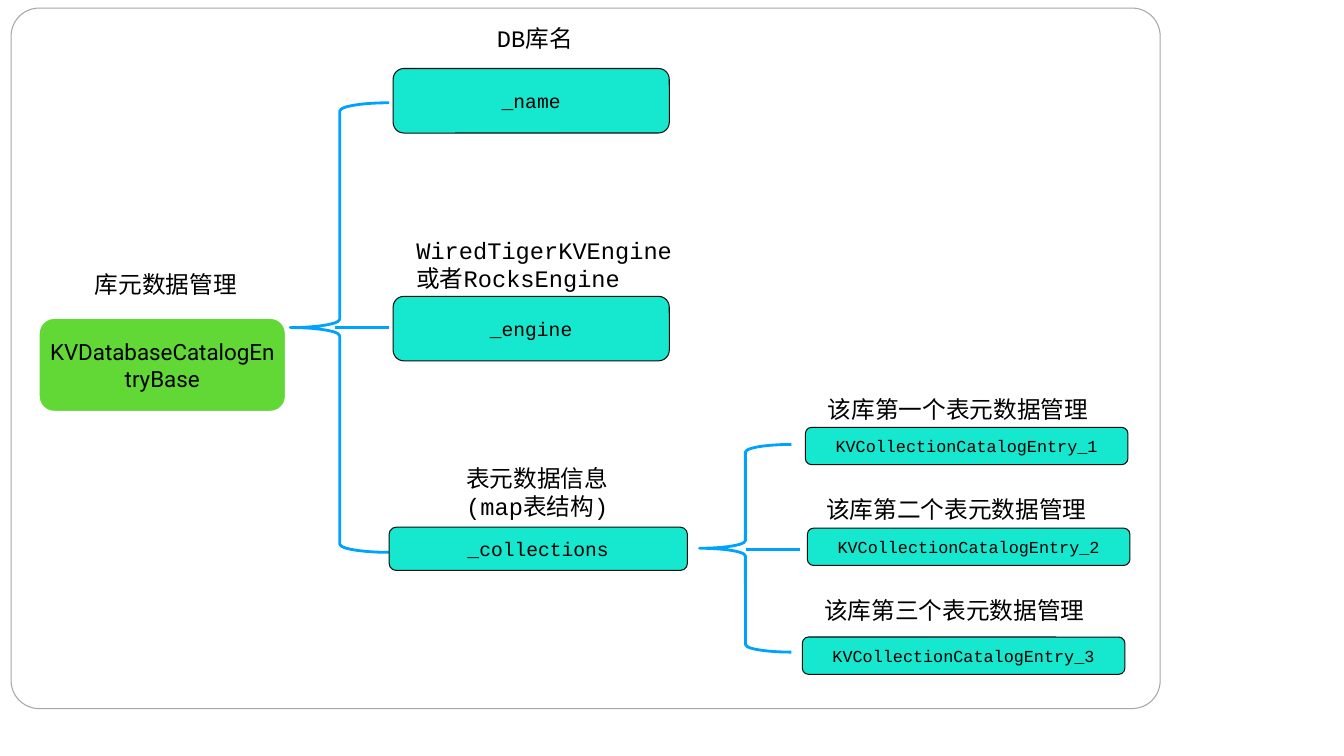
from dataclasses import dataclass
from typing import Optional

from lxml.etree import SubElement
from pptx import Presentation
from pptx.dml.color import RGBColor
from pptx.enum.shapes import MSO_CONNECTOR, MSO_SHAPE as SHAPE
from pptx.enum.text import MSO_ANCHOR, PP_ALIGN as ALIGN
from pptx.oxml.ns import qn
from pptx.util import Inches, Pt

WHITE = RGBColor(0xFF, 0xFF, 0xFF)
BLACK = RGBColor(0x00, 0x00, 0x00)
GREY = RGBColor(0xA6, 0xA6, 0xA6)
INK = RGBColor(0x0D, 0x0D, 0x0D)
TEAL = RGBColor(0x16, 0xE7, 0xCF)
GREEN = RGBColor(0x61, 0xD8, 0x36)
BLUE = RGBColor(0x00, 0xA2, 0xFF)
MONO, SANS = "Courier New", "Roboto"
COLS, ROWS = 40, 30
LABEL_SIZE = 16.9

prs = Presentation()
prs.slide_width, prs.slide_height = Inches(13.33), Inches(7.5)
slide = prs.slides.add_slide(prs.slide_layouts[6])


def col(n: float) -> int:
    return round(prs.slide_width * n / COLS)


def row(n: float) -> int:
    return round(prs.slide_height * n / ROWS)


@dataclass
class Cell:
    x: float
    y: float
    w: float
    h: float

    def emu(self) -> tuple:
        return col(self.x), row(self.y), col(self.w), row(self.h)


@dataclass
class Box:
    cell: Cell
    text: str = ""
    size: float = 14
    font: str = MONO
    fill: Optional[RGBColor] = TEAL
    line: RGBColor = INK
    weight: float = 0.75
    kind: int = SHAPE.ROUNDED_RECTANGLE
    adj: Optional[float] = None


@dataclass
class Label:
    cell: Cell
    lines: tuple
    align: int = ALIGN.CENTER


@dataclass
class Link:
    x1: float
    x2: float
    y: float


def write(sp, lines: tuple, size: float, font: str, align: int = ALIGN.CENTER) -> None:
    tf = sp.text_frame
    frame_format = {"word_wrap": True, "vertical_anchor": MSO_ANCHOR.MIDDLE}
    frame_format |= {f"margin_{side}": Inches(0.04)
                     for side in ("left", "right", "top", "bottom")}
    for name, value in frame_format.items():
        setattr(tf, name, value)
    for i, line in enumerate(lines):
        p = tf.add_paragraph() if i else tf.paragraphs[0]
        p.alignment = align
        r = p.add_run()
        r.text = line
        for name, value in {"size": Pt(size), "name": font}.items():
            setattr(r.font, name, value)
        r.font.color.rgb = BLACK


def draw_box(box: Box) -> None:
    sp = slide.shapes.add_shape(box.kind, *box.cell.emu())
    sp.shadow.inherit = False
    if box.adj is not None:
        sp.adjustments[0] = box.adj
    if box.fill is None:
        sp.fill.background()
    else:
        sp.fill.solid()
        sp.fill.fore_color.rgb = box.fill
    sp.line.color.rgb = box.line
    sp.line.width = Pt(box.weight)
    if box.text:
        write(sp, (box.text,), box.size, box.font)


def draw_label(label: Label) -> None:
    sp = slide.shapes.add_textbox(*label.cell.emu())
    write(sp, label.lines, LABEL_SIZE, MONO, label.align)


def draw_link(link: Link) -> None:
    y = row(link.y)
    sp = slide.shapes.add_connector(MSO_CONNECTOR.STRAIGHT, col(link.x1), y, col(link.x2), y)
    sp.line.color.rgb = BLUE
    sp.line.width = Pt(2)
    SubElement(sp._element.spPr, qn("a:effectLst"))


def brace(cell: Cell) -> Box:
    return Box(cell, fill=None, line=BLUE, weight=2, kind=SHAPE.LEFT_BRACE)


def entry(number: int, x: float, y: float) -> Box:
    return Box(Cell(x, y, 9.6, 1.48), f"KVCollectionCatalogEntry_{number}", 12)


def entry_label(ordinal: str, x: float, y: float, w: float) -> Label:
    return Label(Cell(x, y, w, 1.44), (f"该库第{ordinal}个表元数据管理",))


boxes = [
    Box(Cell(0.33, 0.32, 34.2, 27.8), fill=WHITE, line=GREY, adj=0.04),
    Box(Cell(1.14, 12.6, 7.38, 3.76), "KVDatabaseCatalogEntryBase", 16, SANS, GREEN, WHITE, 2),
    brace(Cell(8.64, 4.08, 2.94, 17.84)),
    Box(Cell(11.7, 2.72, 8.22, 2.56), "_name"),
    Box(Cell(11.7, 11.76, 8.22, 2.56), "_engine"),
    Box(Cell(11.58, 20.92, 8.88, 1.72), "_collections"),
    brace(Cell(20.82, 17.64, 2.73, 8.24)),
    entry(1, 23.97, 16.96),
    entry(2, 24.03, 20.96),
    entry(3, 23.88, 25.28),
]
links = [Link(9.96, 11.58, 13), Link(22.2, 23.82, 21.8)]
labels = [
    Label(Cell(1.74, 10.56, 6.39, 1.44), ("库元数据管理",)),
    Label(Cell(14.67, 0.8, 8.37, 1.44), ("DB库名",), ALIGN.LEFT),
    Label(Cell(12.27, 9.2, 8.16, 2.56), ("WiredTigerKVEngine", "或者RocksEngine"), ALIGN.LEFT),
    Label(Cell(11.55, 18.24, 8.88, 2.56), ("表元数据信息", "(map表结构)")),
    entry_label("一", 24.48, 15.52, 8.07),
    entry_label("二", 24.39, 19.48, 8.16),
    entry_label("三", 24.27, 23.48, 8.28),
]

for draw, items in ((draw_box, boxes), (draw_link, links), (draw_label, labels)):
    for item in items:
        draw(item)

prs.save("out.pptx")
